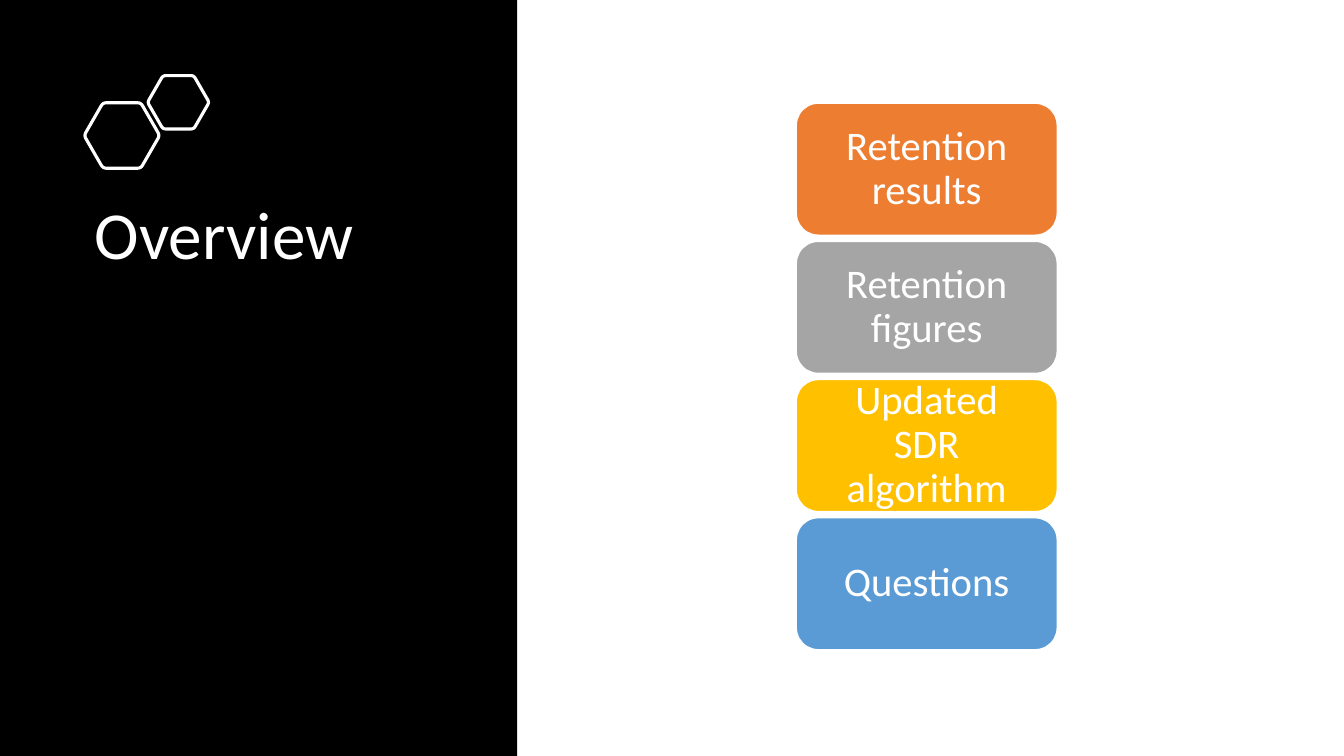
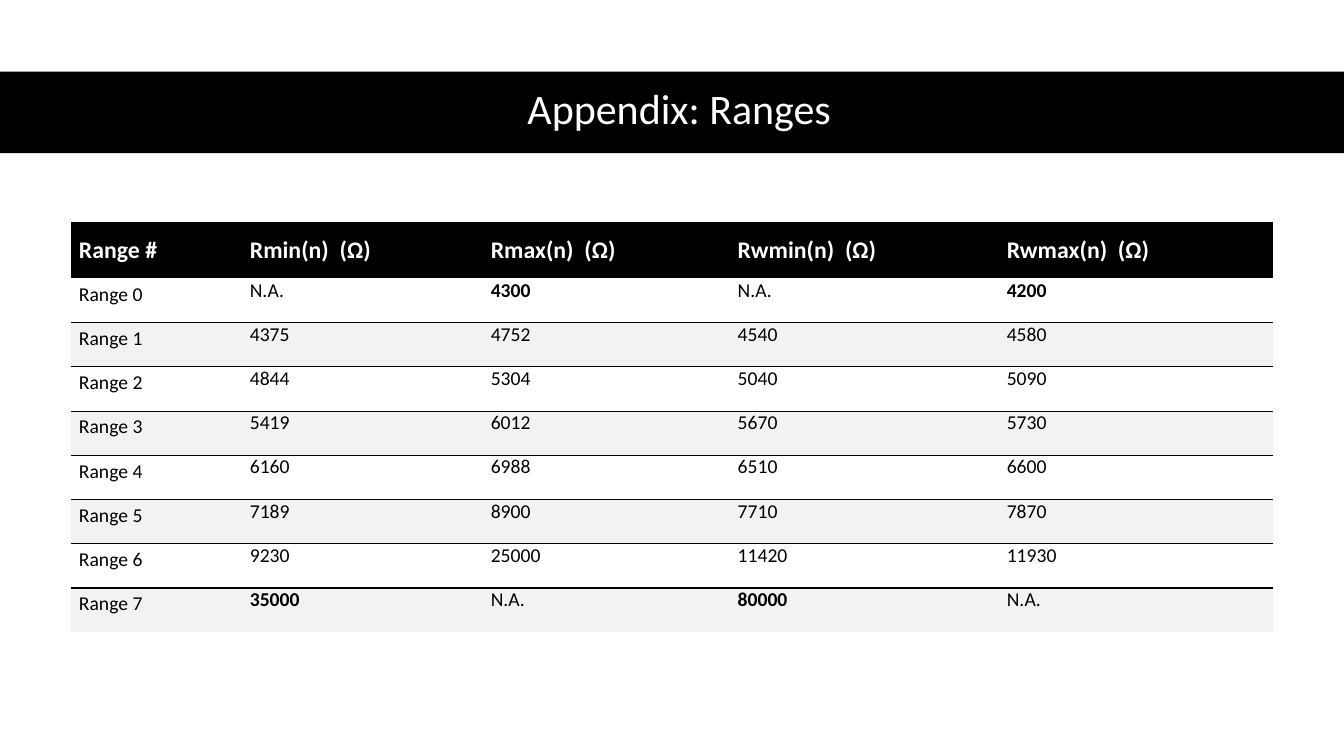
from math import cos, pi, sin

from lxml import etree
from pptx import Presentation
from pptx.dml.color import RGBColor
from pptx.enum.shapes import MSO_SHAPE
from pptx.enum.text import MSO_ANCHOR, MSO_AUTO_SIZE, PP_ALIGN
from pptx.oxml.ns import qn
from pptx.util import Pt

RECTANGLE, ROUNDED = MSO_SHAPE.RECTANGLE, MSO_SHAPE.ROUNDED_RECTANGLE
TOP, MIDDLE = MSO_ANCHOR.TOP, MSO_ANCHOR.MIDDLE
LEFT, CENTER = PP_ALIGN.LEFT, PP_ALIGN.CENTER
NO_AUTOFIT = MSO_AUTO_SIZE.NONE

FONT = "Calibri"
BLACK = RGBColor(0x00, 0x00, 0x00)
WHITE = RGBColor(0xFF, 0xFF, 0xFF)
PALE_GRAY = RGBColor(0xF2, 0xF2, 0xF2)
ORANGE = RGBColor(0xED, 0x7D, 0x31)
GRAY = RGBColor(0xA5, 0xA5, 0xA5)
GOLD = RGBColor(0xFF, 0xC0, 0x00)
BLUE = RGBColor(0x5B, 0x9B, 0xD5)

SLIDE_WIDTH, SLIDE_HEIGHT = 960, 540
TITLE_ONLY = 5
PLAIN_TABLE_STYLE = "{2D5ABB26-0587-4C30-8999-92F81FD0307C}"

TOPICS = [
    ("Retention results", ORANGE),
    ("Retention figures", GRAY),
    ("Updated SDR algorithm", GOLD),
    ("Questions", BLUE),
]
HEXAGONS = [(87.1, 96.8, 27), (127.4, 73.1, 22)]  # centre x, centre y, radius

MISSING = "N.A."
RANGE_HEADER = ["Range #", "Rmin(n)  (Ω)", "Rmax(n)  (Ω)", "Rwmin(n)  (Ω)", "Rwmax(n)  (Ω)"]
RANGES = [
    (MISSING, "4300", MISSING, "4200"),
    ("4375", "4752", "4540", "4580"),
    ("4844", "5304", "5040", "5090"),
    ("5419", "6012", "5670", "5730"),
    ("6160", "6988", "6510", "6600"),
    ("7189", "8900", "7710", "7870"),
    ("9230", "25000", "11420", "11930"),
    ("35000", MISSING, "80000", MISSING),
]
COLUMN_WIDTHS = [122.1, 172.1, 176.4, 192.2, 195.8]
HEADER_HEIGHT, ROW_HEIGHT = 40.2, 31.6


def points(*values):
    return [Pt(value) for value in values]


def style_text(frame, size, color, align=LEFT, bold=False, spacing=None):
    for para in frame.paragraphs:
        para.alignment = align
        para.line_spacing = spacing
        for span in para.runs:
            span.font.name = FONT
            span.font.size = Pt(size)
            span.font.bold = bold
            span.font.color.rgb = color


def add_filled_shape(slide, kind, place, color):
    shape = slide.shapes.add_shape(kind, *points(*place))
    shape.shadow.inherit = False
    shape.fill.solid()
    shape.fill.fore_color.rgb = color
    shape.line.fill.background()
    return shape


def add_titled_slide(deck, text, band_place, title_place, size, align, anchor):
    """Add a slide whose white title lies on a black band."""
    slide = deck.slides.add_slide(deck.slide_layouts[TITLE_ONLY])
    title = slide.shapes.title
    title.left, title.top, title.width, title.height = points(*title_place)
    frame = title.text_frame
    frame.text = text
    frame.word_wrap = True
    frame.auto_size = NO_AUTOFIT
    frame.vertical_anchor = anchor
    style_text(frame, size, WHITE, align, spacing=0.9)
    band = add_filled_shape(slide, RECTANGLE, band_place, BLACK)
    title.element.addprevious(band.element)
    return slide


def rounded_hexagon(center_x, center_y, radius, cut=0.09, steps=4):
    """Return outline points, each corner drawn as a short quadratic curve."""
    corners = [(center_x + radius * cos(k * pi / 3), center_y + radius * sin(k * pi / 3))
               for k in range(6)]
    outline = []
    for k, corner in enumerate(corners):
        start, end = [
            [c + cut * (n - c) for c, n in zip(corner, neighbour)]
            for neighbour in (corners[k - 1], corners[(k + 1) % 6])
        ]
        for step in range(steps + 1):
            t = step / steps
            outline.append(points(*(
                (1 - t) ** 2 * a + 2 * t * (1 - t) * c + t ** 2 * b
                for a, c, b in zip(start, corner, end))))
    return outline


def add_hexagon(slide, center_x, center_y, radius):
    first, *rest = rounded_hexagon(center_x, center_y, radius)
    builder = slide.shapes.build_freeform(*first)
    builder.add_line_segments(rest, close=True)
    hexagon = builder.convert_to_shape()
    hexagon.shadow.inherit = False
    hexagon.fill.background()
    hexagon.line.color.rgb = WHITE
    hexagon.line.width = Pt(2.25)


def add_topic(slide, index, text, color):
    left, top, width, height, pitch = 568.8, 73.7, 186.4, 94.3, 98.7
    box = add_filled_shape(slide, ROUNDED, (left, top + index * pitch, width, height), color)
    box.line.color.rgb = WHITE
    box.line.width = Pt(1)
    frame = box.text_frame
    frame.text = text
    frame.word_wrap = True
    frame.vertical_anchor = MIDDLE
    frame.margin_left = frame.margin_right = Pt(13)
    frame.margin_top = frame.margin_bottom = Pt(9)
    style_text(frame, 29, WHITE, CENTER, spacing=0.9)


def add_top_border(cell):
    line = etree.Element(qn("a:lnT"), w=str(Pt(1)))
    fill = etree.SubElement(line, qn("a:solidFill"))
    etree.SubElement(fill, qn("a:srgbClr"), val=str(BLACK))
    cell._tc.get_or_add_tcPr().insert(0, line)


def fill_cell(cell, text, background, size, color, bold, top_margin, anchor):
    cell.text = text
    cell.margin_left, cell.margin_right = points(5.8, 4.3)
    cell.margin_top, cell.margin_bottom = points(top_margin, 8.6)
    cell.vertical_anchor = anchor
    cell.fill.solid()
    cell.fill.fore_color.rgb = background
    style_text(cell.text_frame, size, color, bold=bold)


def add_range_table(slide):
    place = points(50.6, 158.7, sum(COLUMN_WIDTHS), HEADER_HEIGHT + ROW_HEIGHT * len(RANGES))
    frame = slide.shapes.add_table(len(RANGES) + 1, len(RANGE_HEADER), *place)
    table = frame.table
    table.horz_banding = False
    frame.element.find(".//" + qn("a:tableStyleId")).text = PLAIN_TABLE_STYLE
    for column, width in zip(table.columns, COLUMN_WIDTHS):
        column.width = Pt(width)
    for index, row in enumerate(table.rows):
        row.height = Pt(ROW_HEIGHT if index else HEADER_HEIGHT)

    for column, text in enumerate(RANGE_HEADER):
        fill_cell(table.cell(0, column), text, BLACK, 17, WHITE, True, 8.6, MIDDLE)
    for index, values in enumerate(RANGES):
        banded = index % 2 == 1
        for column, text in enumerate([f"Range {index}", *values]):
            cell = table.cell(index + 1, column)
            limit = column > 0 and MISSING in values and text != MISSING
            fill_cell(cell, text, PALE_GRAY if banded else WHITE, 14, BLACK,
                      limit, 0 if column else 2.9, TOP)
            if banded:
                add_top_border(cell)


def main():
    deck = Presentation()
    deck.slide_width, deck.slide_height = points(SLIDE_WIDTH, SLIDE_HEIGHT)

    overview = add_titled_slide(deck, "Overview", (0, 0, 369.4, SLIDE_HEIGHT),
                                (60.5, 140.4, 282.2, 252), 48, LEFT, TOP)
    for hexagon in HEXAGONS:
        add_hexagon(overview, *hexagon)
    for index, (text, color) in enumerate(TOPICS):
        add_topic(overview, index, text, color)

    appendix = add_titled_slide(deck, "Appendix: Ranges", (0, 51.1, SLIDE_WIDTH, 58.3),
                                (43.9, 50.4, 882.7, 58.3), 30, CENTER, MIDDLE)
    add_range_table(appendix)
    deck.save("out.pptx")


if __name__ == "__main__":
    main()
